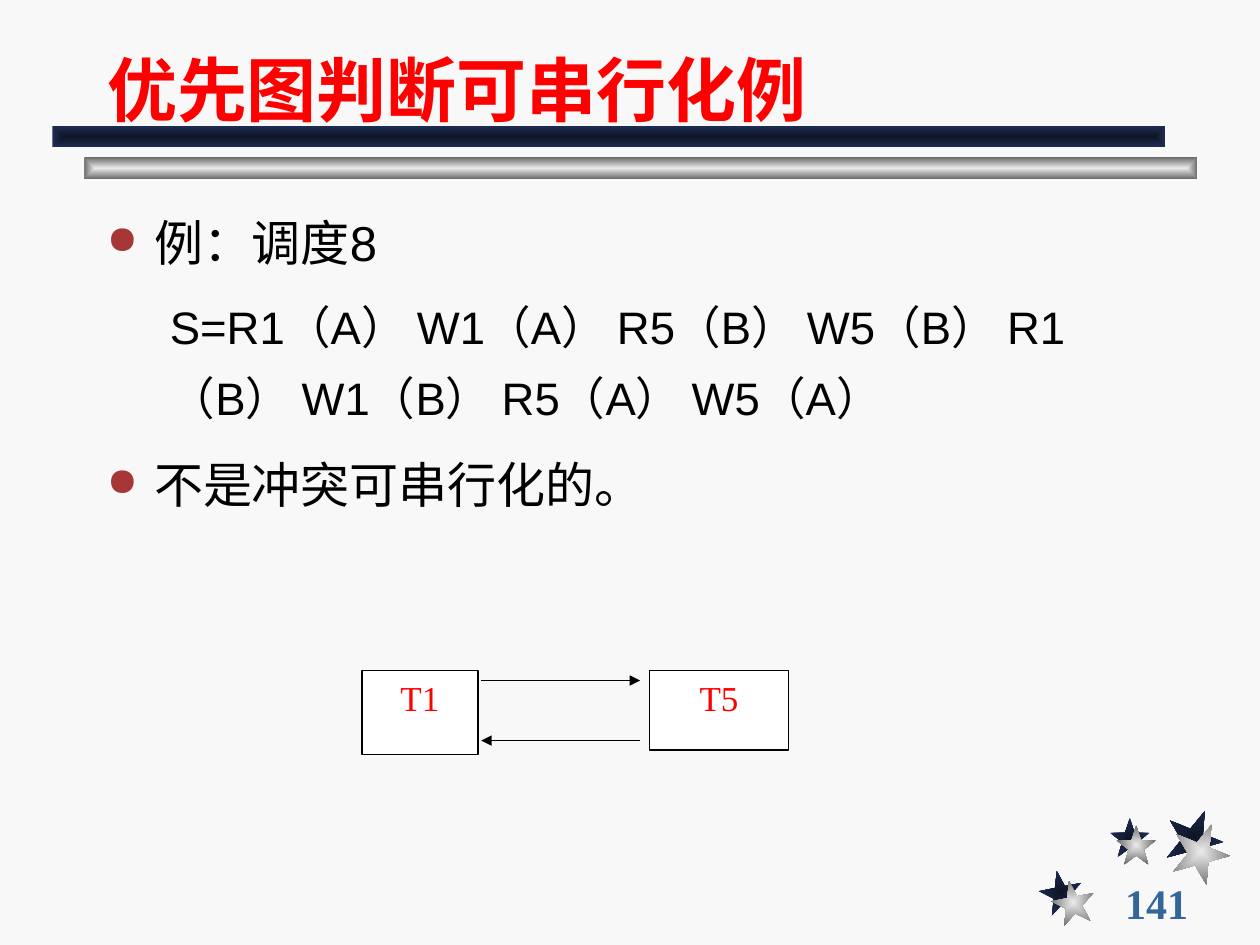
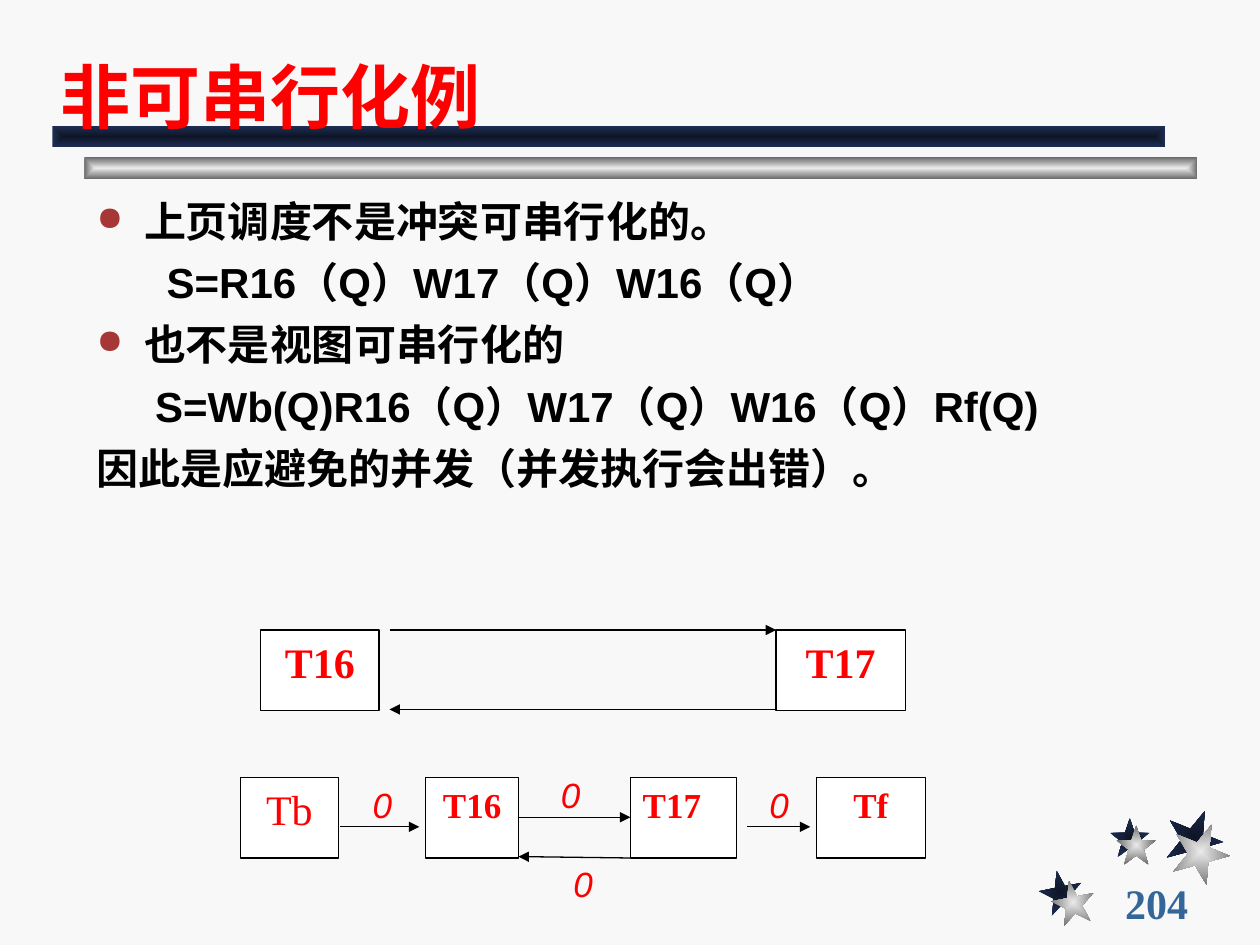
from lxml.etree import SubElement
from pptx import Presentation
from pptx.dml.color import RGBColor
from pptx.enum.lang import MSO_LANGUAGE_ID as LANG
from pptx.enum.shapes import MSO_CONNECTOR, MSO_SHAPE as SHAPE
from pptx.enum.text import MSO_ANCHOR as ANCHOR, MSO_AUTO_SIZE as AUTO, PP_ALIGN as ALIGN
from pptx.oxml.ns import qn
from pptx.util import Pt

PAPER, WHITE, BLACK, RED = "F8F8F8", "FFFFFF", "000000", "FF0000"
BULLET, NUMBER = "A73737", "336699"
NAVY = ("0E1526", "1E2E53")  # centre, edge
SILVER = ("EAEAEA", "6C6C6C")
SANS, SERIF = "Arial", "Times New Roman"

# left, top
BAR_SIZE = (636, 12.2)
BARS = [(48.2, 90, SILVER), (30, 72, NAVY)]
# left, top, size, rotation, colours
STARS = [
    (594, 497.5, 24.5, -11, NAVY),
    (634.3, 467.3, 22.6, 0, NAVY),
    (666, 462.3, 32.7, 22, NAVY),
    (601, 503.3, 24.5, -11, SILVER),
    (638, 471.6, 22.6, 0, SILVER),
    (669.8, 470.2, 32.7, 22, SILVER),
]
NUMBER_BOX = (635.8, 504, 77.8, 23.8)
LABEL_SIZE = (25.2, 31.7)

# lines: text, size, indent (None for a bullet), space before
# nodes: text, box, size, bold
# arrows: x1, y1, x2, y2
# labels: left, top
SLIDES = [
    dict(
        number="141",
        title="优先图判断可串行化例",
        title_box=(54, 12.2, 612, 66.2),
        body_box=(54, 108, 623.5, 190),
        spacing=1.3,
        bold=False,
        lines=[
            ("例：调度8", 28, None, 7),
            ("S=R1（A） W1（A） R5（B） W5（B） R1（B） W1（B） R5（A） W5（A）", 26, 36, 6.5),
            ("不是冲突可串行化的。", 28, None, 7),
        ],
        nodes=[
            ("T1", (206.8, 383.2, 66.3, 48), 20, False),
            ("T5", (371.3, 383.2, 79.2, 45.4), 20, False),
        ],
        arrows=[(275, 388.9, 365.8, 388.9), (365.8, 423.2, 275, 423.2)],
        labels=[],
    ),
    dict(
        number="204",
        title="非可串行化例",
        title_box=(27.4, 15.8, 660.2, 66.2),
        body_box=(48.2, 108, 646.6, 173.5),
        spacing=1,
        bold=True,
        lines=[
            ("上页调度不是冲突可串行化的。", 24, None, 6.5),
            ("S=R16（Q）W17（Q）W16（Q）", 24, 40, 6.5),
            ("也不是视图可串行化的", 24, None, 6.5),
            ("S=Wb(Q)R16（Q）W17（Q）W16（Q）Rf(Q)", 24, 33.4, 6.5),
            ("因此是应避免的并发（并发执行会出错）。", 24, 0, 6.5),
        ],
        nodes=[
            ("T16", (149, 360, 67.7, 46), 24, True),
            ("T17", (443.5, 360, 73.8, 46), 24, True),
            ("Tb", (137.4, 444.4, 56, 46), 24, False),
            ("T16", (243.2, 444.4, 53.2, 46), 20, True),
            ("T17", (360.2, 444.4, 60.6, 46), 20, True),
            ("Tf", (466.4, 444.4, 62.4, 46), 20, True),
        ],
        arrows=[
            (222.6, 360, 443.5, 360),
            (443.5, 405.4, 222.6, 405.4),
            (194.4, 472.5, 239.6, 472.5),
            (296.3, 467, 360.2, 467),
            (360.2, 490.3, 296.3, 489.5),
            (427, 472.5, 463, 472.5),
        ],
        labels=[(205.8, 444.2), (313.4, 438.7), (432.6, 444.2), (320.5, 489.6)],
    ),
]


def rgb(color):
    return RGBColor.from_string(color)


def points(values):
    return [Pt(v) for v in values]


def write(p, text, font, size, color, bold=False, italic=False, align=ALIGN.LEFT):
    p.text = text
    p.alignment = align
    for r in p.runs:
        f = r.font
        f.name, f.size, f.bold, f.italic = font, Pt(size), bold, italic
        f.color.rgb = rgb(color)
        f.language_id = LANG.SIMPLIFIED_CHINESE


def add_glossy(slide, kind, box, colors, rotation=0):
    """Add a borderless shape whose gradient runs from its centre to its edges."""
    sp = slide.shapes.add_shape(kind, *points(box))
    sp.shadow.inherit = False
    sp.rotation = rotation
    sp.line.fill.background()
    sp.fill.gradient()
    for stop, color in zip(sp.fill.gradient_stops, colors):
        stop.color.rgb = rgb(color)
    grad = sp.element.spPr.find(qn("a:gradFill"))
    grad.remove(grad.find(qn("a:lin")))
    path = SubElement(grad, qn("a:path"), path="rect")
    SubElement(path, qn("a:fillToRect"), l="50000", t="50000", r="50000", b="50000")
    return sp


def decorate(layout, slide):
    """Draw the stars and bars on the slide, then hand them over to its layout."""
    parts = [add_glossy(slide, SHAPE.STAR_5_POINT, (x, y, size, size), colors, turn)
             for x, y, size, turn, colors in STARS]
    parts += [add_glossy(slide, SHAPE.RECTANGLE, (x, y, *BAR_SIZE), colors)
              for x, y, colors in BARS]
    for sp in parts:
        layout.shapes.element.append(sp.element)


def add_text_box(slide, box, wrap=True):
    tf = slide.shapes.add_textbox(*points(box)).text_frame
    tf.word_wrap = wrap
    return tf


def set_title(slide, text, box):
    title = slide.shapes.title
    title.left, title.top, title.width, title.height = points(box)
    tf = title.text_frame
    tf.auto_size = AUTO.NONE
    tf.vertical_anchor = ANCHOR.BOTTOM
    write(tf.paragraphs[0], text, SANS, 40, RED, bold=True)


def add_bullet(pPr):
    color = SubElement(pPr, qn("a:buClr"))
    SubElement(color, qn("a:srgbClr"), val=BULLET)
    SubElement(pPr, qn("a:buSzPct"), val="80000")
    SubElement(pPr, qn("a:buChar"), char="●")


def add_body(slide, box, lines, spacing, bold):
    tf = add_text_box(slide, box)
    for i, (text, size, indent, before) in enumerate(lines):
        p = tf.add_paragraph() if i else tf.paragraphs[0]
        write(p, text, SANS, size, BLACK, bold)
        p.line_spacing = float(spacing)
        p.space_before = Pt(before)
        pPr = p._p.get_or_add_pPr()
        if indent is None:
            pPr.set("marL", str(Pt(27)))
            pPr.set("indent", str(Pt(-27)))
            add_bullet(pPr)
        else:
            pPr.set("marL", str(Pt(indent)))
            pPr.set("indent", "0")


def add_node(slide, text, box, size, bold):
    sp = slide.shapes.add_shape(SHAPE.RECTANGLE, *points(box))
    sp.shadow.inherit = False
    sp.fill.solid()
    sp.fill.fore_color.rgb = rgb(WHITE)
    sp.line.color.rgb = rgb(BLACK)
    sp.line.width = Pt(0.75)
    tf = sp.text_frame
    tf.vertical_anchor = ANCHOR.TOP
    # The lower T17 node is the only one set flush left
    left = text == "T17" and size == 20
    write(tf.paragraphs[0], text, SERIF, size, RED, bold,
          align=ALIGN.LEFT if left else ALIGN.CENTER)


def add_arrow(slide, ends):
    line = slide.shapes.add_connector(MSO_CONNECTOR.STRAIGHT, *points(ends))
    line.line.color.rgb = rgb(BLACK)
    line.line.width = Pt(0.75)
    spPr = line.element.spPr
    SubElement(spPr.find(qn("a:ln")), qn("a:tailEnd"), type="triangle")
    SubElement(spPr, qn("a:effectLst"))


def add_slide(prs, layout, data):
    slide = prs.slides.add_slide(layout)
    tf = add_text_box(slide, NUMBER_BOX)
    tf.vertical_anchor = ANCHOR.MIDDLE
    write(tf.paragraphs[0], data["number"], SERIF, 24, NUMBER, bold=True)
    set_title(slide, data["title"], data["title_box"])
    add_body(slide, data["body_box"], data["lines"], data["spacing"], data["bold"])
    for node in data["nodes"]:
        add_node(slide, *node)
    for ends in data["arrows"]:
        add_arrow(slide, ends)
    for corner in data["labels"]:
        tf = add_text_box(slide, (*corner, *LABEL_SIZE), wrap=False)
        write(tf.paragraphs[0], "0", SANS, 20, RED, italic=True, align=ALIGN.CENTER)
    return slide


def main():
    prs = Presentation()
    prs.slide_width, prs.slide_height = Pt(720), Pt(540)
    background = prs.slide_master.background.fill
    background.solid()
    background.fore_color.rgb = rgb(PAPER)
    layout = prs.slide_layouts[5]
    slides = [add_slide(prs, layout, data) for data in SLIDES]
    decorate(layout, slides[0])
    prs.save("out.pptx")


if __name__ == "__main__":
    main()
